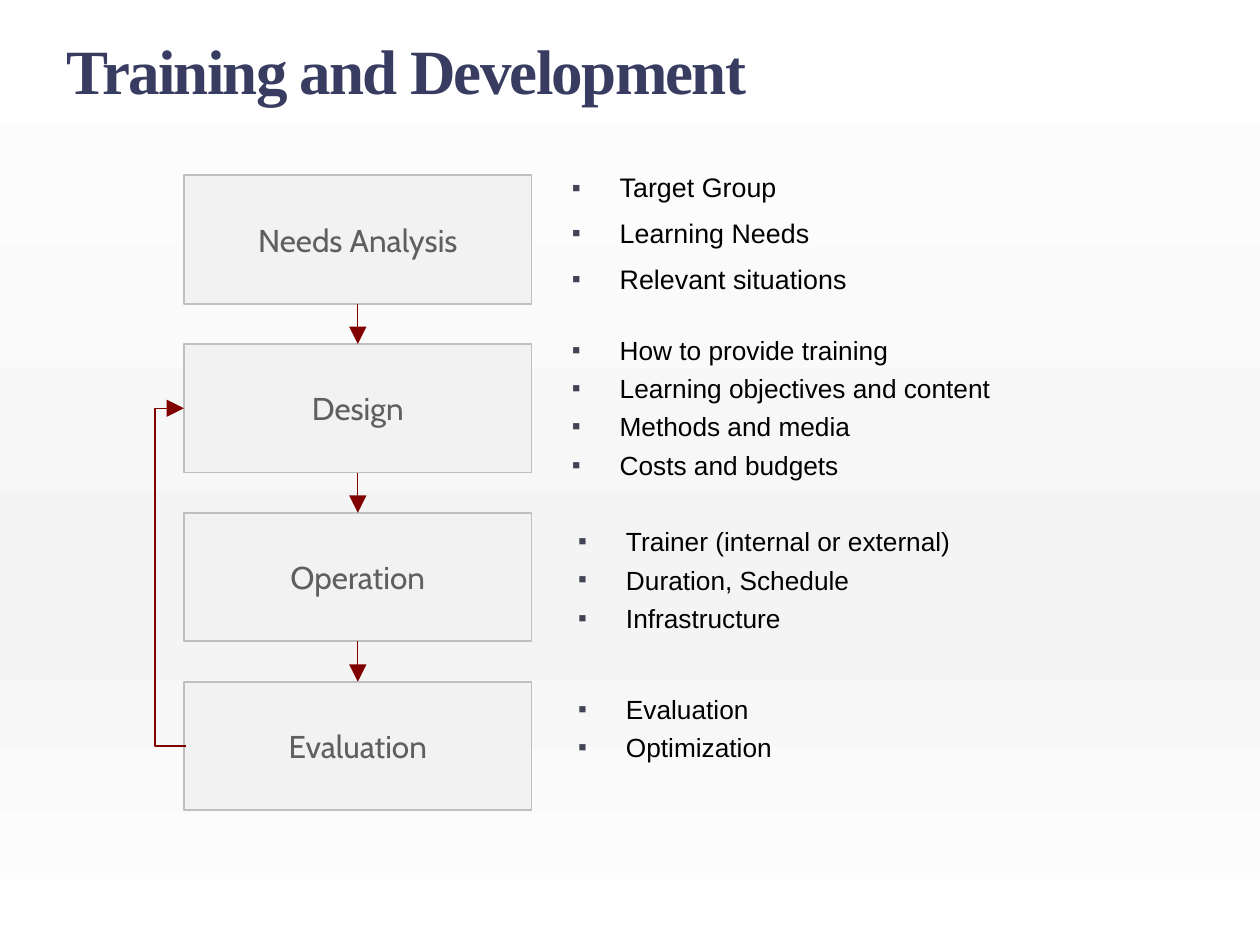
from lxml import etree
from pptx import Presentation
from pptx.dml.color import RGBColor
from pptx.enum.shapes import MSO_CONNECTOR, MSO_SHAPE
from pptx.enum.text import MSO_ANCHOR, PP_ALIGN
from pptx.oxml import parse_xml
from pptx.oxml.ns import nsdecls, qn
from pptx.util import Inches, Pt

RECT = MSO_SHAPE.RECTANGLE
STRAIGHT, ELBOW = MSO_CONNECTOR.STRAIGHT, MSO_CONNECTOR.ELBOW
MIDDLE, CENTER = MSO_ANCHOR.MIDDLE, PP_ALIGN.CENTER
TOP, BOTTOM = 0, 2

# Content: step, notes and the format of its notes box
TITLE = "Training and Development"
STEPS = [
    ("Needs Analysis",
     ["Target Group", "Learning Needs", "Relevant situations"],
     {"at": (4.37, 1.31, 4.17, 0.94), "size": 15.3, "spacing": 1.0}),
    ("Design",
     ["How to provide training", "Learning objectives and content",
      "Methods and media", "Costs and budgets"],
     {"at": (4.37, 2.65, 4.8, 1.27), "size": 15, "spacing": 0.8}),
    ("Operation",
     ["Trainer (internal or external)", "Duration, Schedule", "Infrastructure"],
     {"at": (4.42, 4.17, 4.17, 0.94), "size": 15, "spacing": 0.8}),
    ("Evaluation",
     ["Evaluation", "Optimization"],
     {"at": (4.42, 5.5, 4.17, 0.94), "size": 15, "spacing": 0.8}),
]

THEME = {
    "title": {"name": "Times New Roman", "size": 36, "color": "383C60", "bold": True},
    "step": {"name": "Cabin", "size": 18, "color": "5F5F5F"},
    "note": {"name": "Arial", "color": "000000"},
    "box": "F2F2F2", "border": "BFBFBF", "arrow": "800000", "bullet": "424456",
    "background": [(0, "FFFFFF"), (65, "F4F4F4"), (100, "FFFFFF")],
}

# Flow chart grid, in inches
BOX_X, BOX_Y, BOX_W, BOX_H, PITCH = 1.46, 1.39, 2.76, 1.02, 1.34
LOOP_W, LOOP_REACH = 0.02, 0.25


def set_font(font, style):
    for key, value in style.items():
        if key == "color":
            font.color.rgb = RGBColor.from_string(value)
        else:
            setattr(font, key, Pt(value) if key == "size" else value)


def add_text(slide, at):
    tf = slide.shapes.add_textbox(*map(Inches, at)).text_frame
    tf.word_wrap = True
    return tf


def add_bullet(p):
    pPr = p._p.get_or_add_pPr()
    pPr.set("marL", str(Inches(0.45)))
    pPr.set("indent", str(Inches(-0.38)))
    color = etree.SubElement(pPr, qn("a:buClr"))
    etree.SubElement(color, qn("a:srgbClr"), val=THEME["bullet"])
    etree.SubElement(pPr, qn("a:buSzPct"), val="95000")
    etree.SubElement(pPr, qn("a:buFont"), typeface="Arial")
    etree.SubElement(pPr, qn("a:buChar"), char="▪")


def add_notes(slide, notes, at, size, spacing):
    tf = add_text(slide, at)
    for i, note in enumerate(notes):
        p = tf.paragraphs[0] if i == 0 else tf.add_paragraph()
        add_bullet(p)
        p.line_spacing = spacing
        if i:
            p.space_before = Pt(size / 2)
        r = p.add_run()
        r.text = note
        set_font(r.font, {**THEME["note"], "size": size})


def add_step(slide, label, top):
    s = slide.shapes.add_shape(RECT, *map(Inches, (BOX_X, top, BOX_W, BOX_H)))
    s.shadow.inherit = False
    s.fill.solid()
    s.fill.fore_color.rgb = RGBColor.from_string(THEME["box"])
    s.line.color.rgb = RGBColor.from_string(THEME["border"])
    s.line.width = Pt(1)
    tf = s.text_frame
    tf.word_wrap = False
    tf.vertical_anchor = MIDDLE
    p = tf.paragraphs[0]
    p.alignment = CENTER
    r = p.add_run()
    r.text = label
    set_font(r.font, THEME["step"])
    return s


def add_arrow(slide, kind, *ends):
    c = slide.shapes.add_connector(kind, *map(Inches, ends))
    c.line.color.rgb = RGBColor.from_string(THEME["arrow"])
    c.line.width = Pt(0.75)
    etree.SubElement(c.line._get_or_add_ln(), qn("a:tailEnd"),
                     type="triangle", w="lg", len="lg")
    etree.SubElement(c._element.spPr, qn("a:effectLst"))
    return c


def set_background(slide):
    stops = "".join(
        f'<a:gs pos="{pos * 1000}"><a:srgbClr val="{color}"/></a:gs>'
        for pos, color in THEME["background"])
    slide._element.cSld.insert(0, parse_xml(
        f'<p:bg {nsdecls("p", "a")}><p:bgPr><a:gradFill rotWithShape="1">'
        f'<a:gsLst>{stops}</a:gsLst><a:lin ang="5400000" scaled="0"/>'
        '</a:gradFill><a:effectLst/></p:bgPr></p:bg>'))


def main():
    prs = Presentation()
    prs.slide_width, prs.slide_height = Inches(10), Inches(7.5)
    slide = prs.slides.add_slide(prs.slide_layouts[6])
    set_background(slide)

    # Title
    tf = add_text(slide, (0.43, 0.14, 9.37, 0.93))
    tf.margin_top = Inches(0.11)
    r = tf.paragraphs[0].add_run()
    r.text = TITLE
    set_font(r.font, THEME["title"])
    r.font._element.set("spc", "-100")

    # Steps with their notes
    tops = [BOX_Y + i * PITCH for i in range(len(STEPS))]
    boxes = []
    for top, (label, notes, style) in zip(tops, STEPS):
        boxes.append(add_step(slide, label, top))
        add_notes(slide, notes, **style)

    # Arrows from each step to the next
    for upper, lower in zip(boxes, boxes[1:]):
        c = add_arrow(slide, STRAIGHT, 0, 0, 0, 0)
        c.begin_connect(upper, BOTTOM)
        c.end_connect(lower, TOP)

    # Feedback loop from Evaluation back to Design, turned to run upwards
    loop = add_arrow(slide, ELBOW, BOX_X, tops[1] + BOX_H / 2,
                     BOX_X + LOOP_W, tops[3] + BOX_H / 2)
    spPr = loop._element.spPr
    spPr.find(qn("a:xfrm")).set("rot", "10800000")
    guides = spPr.find(qn("a:prstGeom")).find(qn("a:avLst"))
    bend = round(LOOP_REACH / LOOP_W * 100000)
    etree.SubElement(guides, qn("a:gd"), name="adj1", fmla=f"val {bend}")

    prs.save("out.pptx")


if __name__ == "__main__":
    main()
